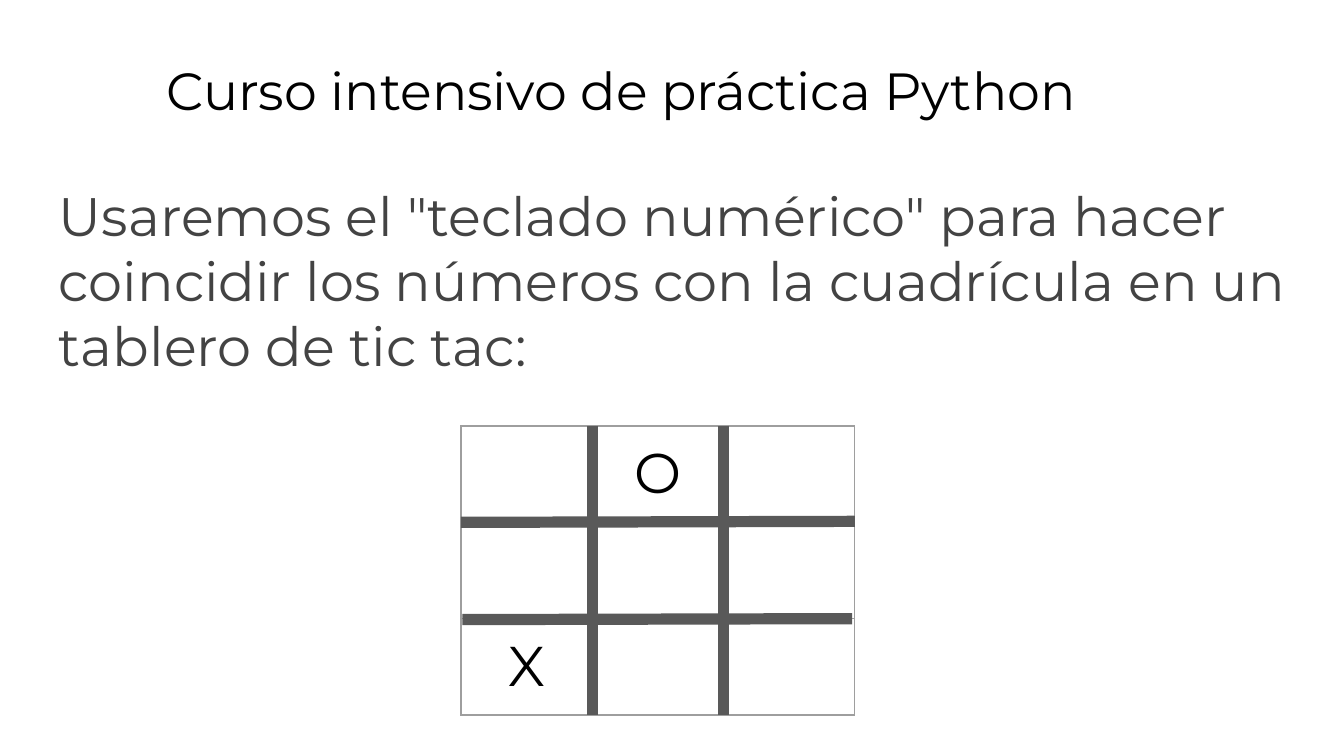
"""Build a slide that shows a tic tac toe board under a title and an instruction."""
from dataclasses import dataclass

from lxml import etree
from pptx import Presentation
from pptx import util as u
from pptx.dml.color import RGBColor
from pptx.enum import shapes, text
from pptx.oxml import parse_xml
from pptx.oxml.ns import nsdecls, qn

COLORS = {"black": "000000", "body": "434343", "bar": "595959",
          "border": "9E9E9E", "white": "FFFFFF"}
FONT = "Montserrat"
PAGE_WIDTH = 10
PAGE_HEIGHT = PAGE_WIDTH * 9 / 16
GRID_LEFT, GRID_TOP = 3.43, 3.17
GRID_WIDTH, GRID_HEIGHT = 2.93, 2.15
CELLS = 3
COLUMN, ROW = GRID_WIDTH / CELLS, GRID_HEIGHT / CELLS
INSET = 0.1


@dataclass(frozen=True)
class TextBlock:
    """Describe a text box by its place and style."""
    words: str
    left: float
    top: float
    width: float
    height: float
    size: float
    color: str
    space_after: float = 0


@dataclass(frozen=True)
class Mark:
    """Describe a player's mark on the board."""
    letter: str
    row: int
    column: int


@dataclass(frozen=True)
class Bar:
    """Describe a board bar in columns and rows of the grid."""
    start: tuple[float, float]
    end: tuple[float, float]


BLOCKS = [
    TextBlock("Curso intensivo de práctica Python",
              1.14, 0.33, 8.52, 0.63, 28, "black"),
    TextBlock('Usaremos el "teclado numérico" para hacer coincidir los números '
              "con la cuadrícula en un tablero de tic tac:",
              0.34, 1.26, 9.5, 3.74, 29, "body", 16),
]
MARKS = [Mark("O", 0, 1), Mark("X", 2, 0)]
BARS = [Bar((column, 0), (column, CELLS)) for column in (1, 2)] + [
    Bar((CELLS, 0.99), (0, 1)),
    Bar((2.98, 2), (0.01, 2.01)),
]


def rgb(name: str) -> RGBColor:
    """Return the named colour."""
    return RGBColor.from_string(COLORS[name])


def style_text(frame, size: float, color: str) -> None:
    """Format every run in a text frame."""
    for para in frame.paragraphs:
        for span in para.runs:
            span.font.name = FONT
            span.font.size = u.Pt(size)
            span.font.color.rgb = rgb(color)


def add_block(page, block: TextBlock) -> None:
    """Draw one text box."""
    box = page.shapes.add_textbox(u.Inches(block.left), u.Inches(block.top),
                                  u.Inches(block.width), u.Inches(block.height))
    frame = box.text_frame
    frame.word_wrap = True
    frame.margin_left = frame.margin_right = u.Inches(INSET)
    frame.margin_top = frame.margin_bottom = u.Inches(INSET)
    frame.text = block.words
    frame.paragraphs[0].space_after = u.Pt(block.space_after)
    style_text(frame, block.size, block.color)


def format_cell(cell) -> None:
    """Give a cell its margins and thin borders."""
    cell.margin_left = cell.margin_right = u.Inches(INSET)
    cell.margin_top = cell.margin_bottom = u.Inches(INSET)
    cell.fill.background()
    properties = cell._tc.get_or_add_tcPr()
    for position, side in enumerate(("lnL", "lnR", "lnT", "lnB")):
        properties.insert(position, parse_xml(
            f'<a:{side} {nsdecls("a")} w="{u.Pt(0.75)}"><a:solidFill>'
            f'<a:srgbClr val="{COLORS["border"]}"/></a:solidFill></a:{side}>'))


def add_board(page, marks: list[Mark]) -> None:
    """Draw the board table with its marks."""
    board = page.shapes.add_table(
        CELLS, CELLS, u.Inches(GRID_LEFT), u.Inches(GRID_TOP),
        u.Inches(GRID_WIDTH), u.Inches(GRID_HEIGHT)).table
    board.first_row = board.horz_banding = False
    for cell in board.iter_cells():
        format_cell(cell)
    for mark in marks:
        frame = board.cell(mark.row, mark.column).text_frame
        frame.text = mark.letter
        frame.paragraphs[0].alignment = text.PP_ALIGN.CENTER
        style_text(frame, 30, "black")


def add_bar(page, bar: Bar) -> None:
    """Draw one thick bar of the board."""
    ends = [u.Inches(origin + step * share)
            for point in (bar.start, bar.end)
            for origin, step, share in zip((GRID_LEFT, GRID_TOP), (COLUMN, ROW), point)]
    line = page.shapes.add_connector(shapes.MSO_CONNECTOR.STRAIGHT, *ends)
    line.line.color.rgb = rgb("bar")
    line.line.width = u.Pt(6)
    etree.SubElement(line._element.spPr, qn("a:effectLst"))


def main() -> None:
    """Build and save the deck."""
    deck = Presentation()
    deck.slide_width, deck.slide_height = u.Inches(PAGE_WIDTH), u.Inches(PAGE_HEIGHT)
    page = deck.slides.add_slide(deck.slide_layouts[6])
    page.background.fill.solid()
    page.background.fill.fore_color.rgb = rgb("white")
    for block in BLOCKS:
        add_block(page, block)
    add_board(page, MARKS)
    for bar in BARS:
        add_bar(page, bar)
    deck.save("out.pptx")


main()
